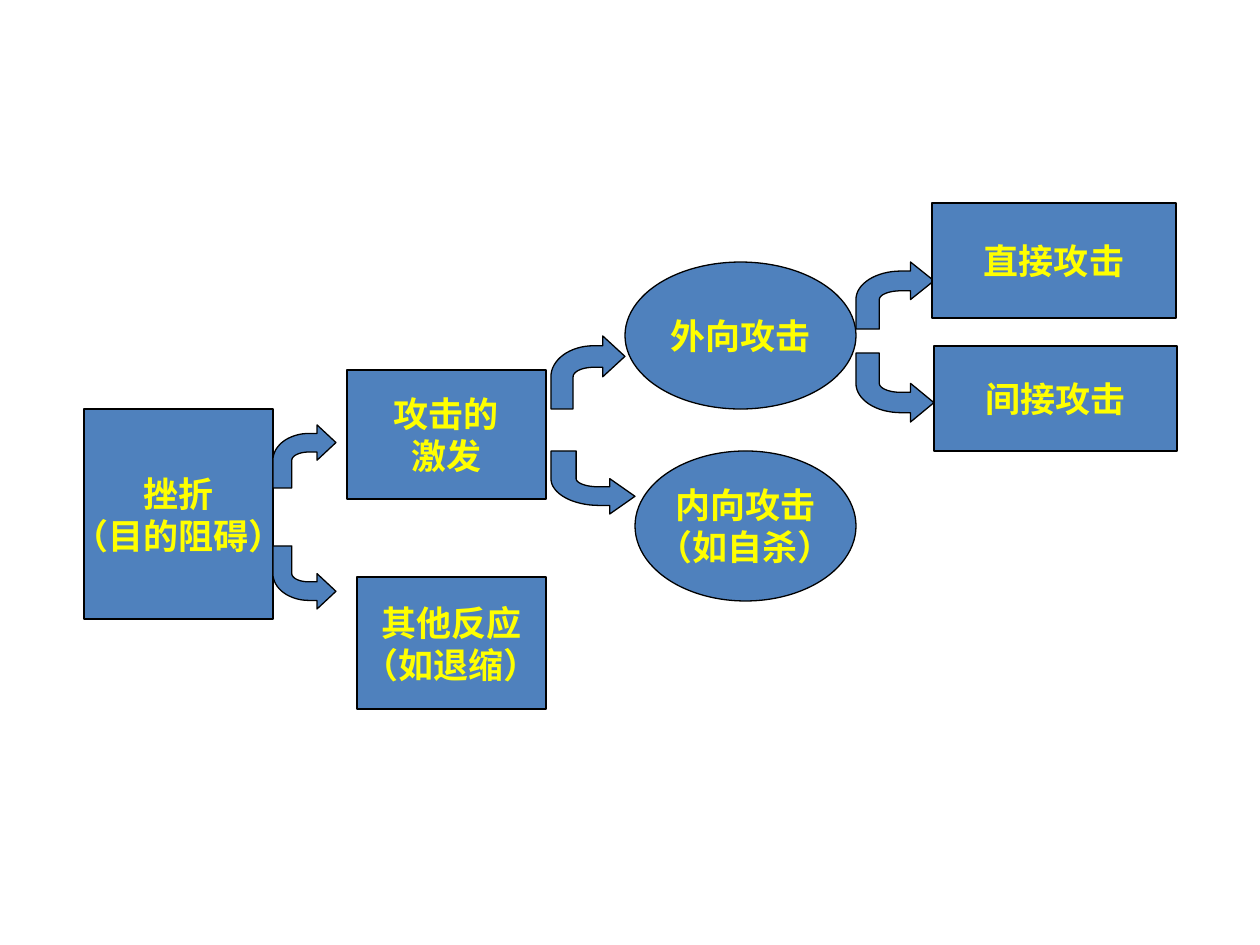
import math

import pptx
import pptx.dml.color
import pptx.enum.shapes
import pptx.enum.text
import pptx.oxml.ns
import pptx.util
from lxml import etree

PX = 914400 / 126  # EMU in one px
FONT = "Noto Sans CJK SC"
BLUE, BLACK, YELLOW = "4F81BD", "000000", "FFFF00"
RECT = pptx.enum.shapes.MSO_SHAPE.RECTANGLE
OVAL = pptx.enum.shapes.MSO_SHAPE.OVAL
ARC_STEPS = 16

# Each stage: nodes (kind, box, lines), then the arrows leaving it (box, turns down)
STAGES = [
    ([(RECT, (84, 409, 189, 210), ["挫折", "（目的阻碍）"])],
     [((273, 425, 63, 63), False), ((273, 546, 63, 63), True)]),
    ([(RECT, (357, 577, 189, 132), ["其他反应", "（如退缩）"]),
      (RECT, (347, 370, 199, 129), ["攻击的", "激发"])],
     [((551, 336, 74, 73), False), ((551, 451, 84, 63), True)]),
    ([(OVAL, (625, 262, 231, 147), ["外向攻击"]),
      (OVAL, (635, 451, 221, 150), ["内向攻击", "（如自杀）"])],
     [((856, 262, 78, 67), False), ((856, 353, 78, 69), True)]),
    ([(RECT, (932, 203, 244, 115), ["直接攻击"]),
      (RECT, (934, 346, 243, 105), ["间接攻击"])],
     []),
]


def emu(px):
    return round(px * PX)


def color(value):
    return pptx.dml.color.RGBColor.from_string(value)


def paint(shape):
    shape.shadow.inherit = False
    shape.fill.solid()
    shape.fill.fore_color.rgb = color(BLUE)
    shape.line.color.rgb = color(BLACK)
    shape.line.width = pptx.util.Pt(0.75)


def add_node(page, kind, box, lines):
    """Add a box or oval with centred lines of text."""
    shape = page.shapes.add_shape(kind, *map(emu, box))
    paint(shape)
    frame = shape.text_frame
    frame.word_wrap = False
    frame.vertical_anchor = pptx.enum.text.MSO_ANCHOR.MIDDLE
    for index, line in enumerate(lines):
        para = frame.add_paragraph() if index else frame.paragraphs[0]
        para.alignment = pptx.enum.text.PP_ALIGN.CENTER
        span = para.add_run()
        span.text = line
        style = {"size": pptx.util.Pt(20), "bold": True, "name": FONT}
        for name, value in style.items():
            setattr(span.font, name, value)
        span.font.color.rgb = color(YELLOW)
        # East Asian typeface
        etree.SubElement(span._r.get_or_add_rPr(), pptx.oxml.ns.qn("a:ea"), typeface=FONT)


def quarter_arc(center, radii, start, end):
    """Points of an elliptical arc; angles in degrees, y pointing down."""
    for step in range(ARC_STEPS + 1):
        angle = math.radians(start + (end - start) * step / ARC_STEPS)
        yield (center[0] + radii[0] * math.cos(angle),
               center[1] + radii[1] * math.sin(angle))


def bent_arrow_outline():
    """Outline in a unit square: up from the lower left, then right."""
    head, shaft, bend = 0.7, 0.3, (0.575, 0.56)
    top, bottom, tip = 0.135, 0.43, 0.28
    return [
        (1, tip), (head, 0), (head, top),
        *quarter_arc(bend, (bend[0], bend[1] - top), 270, 180),
        (0, 1), (shaft, 1),
        *quarter_arc(bend, (bend[0] - shaft, bend[1] - bottom), 180, 270),
        (head, bottom), (head, 2 * tip),
    ]


def add_bent_arrow(page, box, turns_down):
    """Add a bent arrow filling the box, flipped when it turns down."""
    left, top, width, height = box
    points = [(emu(left + x * width), emu(top + (1 - y if turns_down else y) * height))
              for x, y in bent_arrow_outline()]
    builder = page.shapes.build_freeform(*points[0])
    builder.add_line_segments(points[1:], close=True)
    paint(builder.convert_to_shape())


def add_stage(page, nodes, arrows):
    for kind, box, lines in nodes:
        add_node(page, kind, box, lines)
    for box, turns_down in arrows:
        add_bent_arrow(page, box, turns_down)


def main():
    deck = pptx.Presentation()
    deck.slide_width, deck.slide_height = emu(1260), emu(945)
    page = deck.slides.add_slide(deck.slide_layouts[6])
    for nodes, arrows in STAGES:
        add_stage(page, nodes, arrows)
    deck.save("out.pptx")


if __name__ == "__main__":
    main()
